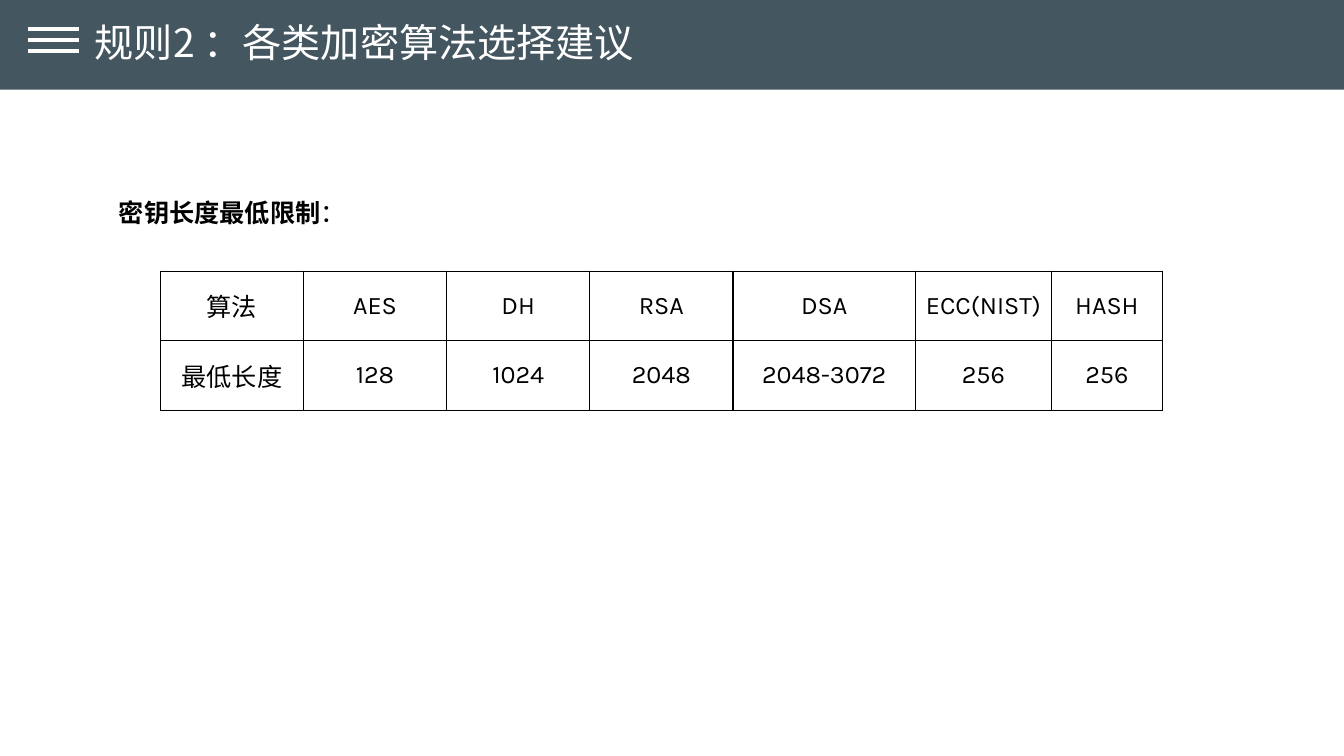
from lxml import etree
from pptx import Presentation
from pptx import util as u
from pptx.dml.color import RGBColor
from pptx.enum import shapes, text
from pptx.oxml import ns

SLATE = RGBColor(0x44, 0x56, 0x60)
WHITE = RGBColor(0xFF, 0xFF, 0xFF)
BLACK = RGBColor(0x00, 0x00, 0x00)
LATIN_FONT = "Karla"
CJK_FONT = "Noto Sans CJK SC"

KEY_LENGTHS = [
    ("算法", "AES", "DH", "RSA", "DSA", "ECC(NIST)", "HASH"),
    ("最低长度", "128", "1024", "2048", "2048-3072", "256", "256"),
]
COLUMN_WIDTHS = [102.3] * 4 + [130.3, 97.2, 79.2]
ROW_HEIGHT = 49.7


class SlideBuilder:
    def __init__(self, slide):
        self.slide = slide

    def style(self, run, size, color, font=LATIN_FONT, bold=False):
        run.font.size = u.Pt(size)
        run.font.bold = bold
        run.font.color.rgb = color
        run.font.name = font
        east_asian = etree.SubElement(run.font._element, ns.qn("a:ea"))
        east_asian.set("typeface", CJK_FONT)

    def band(self, left, top, width, height, color):
        band = self.slide.shapes.add_shape(
            shapes.MSO_SHAPE.RECTANGLE, u.Pt(left), u.Pt(top), u.Pt(width), u.Pt(height))
        band.shadow.inherit = False
        band.fill.solid()
        band.fill.fore_color.rgb = color
        band.line.fill.background()

    def rule(self, left, right, y, color, weight):
        rule = self.slide.shapes.add_connector(
            shapes.MSO_CONNECTOR.STRAIGHT, u.Pt(left), u.Pt(y), u.Pt(right), u.Pt(y))
        rule.line.color.rgb = color
        rule.line.width = u.Pt(weight)
        etree.SubElement(rule._element.spPr, ns.qn("a:effectLst"))

    def title(self, wording, left, top, width, height):
        title = self.slide.shapes.title
        title.left, title.top = u.Pt(left), u.Pt(top)
        title.width, title.height = u.Pt(width), u.Pt(height)
        frame = title.text_frame
        frame.text = wording
        frame.vertical_anchor = text.MSO_ANCHOR.TOP
        frame.auto_size = text.MSO_AUTO_SIZE.NONE
        frame.paragraphs[0].alignment = text.PP_ALIGN.LEFT
        self.style(frame.paragraphs[0].runs[0], 28, WHITE, CJK_FONT)
        self.slide.shapes._spTree.append(title._element)

    def label(self, wording, ending, left, top, width, height):
        label = self.slide.shapes.add_textbox(
            u.Pt(left), u.Pt(top), u.Pt(width), u.Pt(height))
        label.text_frame.word_wrap = True
        paragraph = label.text_frame.paragraphs[0]
        for part, bold in ((wording, True), (ending, False)):
            run = paragraph.add_run()
            run.text = part
            self.style(run, 18, BLACK, bold=bold)

    def cell_borders(self, cell, color, weight):
        properties = cell._tc.get_or_add_tcPr()
        for side in ("lnL", "lnR", "lnT", "lnB"):
            border = etree.SubElement(properties, ns.qn(f"a:{side}"), w=str(u.Pt(weight)))
            fill = etree.SubElement(border, ns.qn("a:solidFill"))
            etree.SubElement(fill, ns.qn("a:srgbClr"), val=str(color))

    def table(self, rows, widths, row_height, left, top):
        table = self.slide.shapes.add_table(
            len(rows), len(widths), u.Pt(left), u.Pt(top),
            u.Pt(sum(widths)), u.Pt(row_height * len(rows))).table
        table.first_row = table.horz_banding = False
        for column, width in zip(table.columns, widths):
            column.width = u.Pt(width)
        for row, values in zip(table.rows, rows):
            row.height = u.Pt(row_height)
            for cell, value in zip(row.cells, values):
                self.cell_borders(cell, BLACK, 1)
                cell.fill.background()
                cell.vertical_anchor = text.MSO_ANCHOR.MIDDLE
                cell.text_frame.text = value
                paragraph = cell.text_frame.paragraphs[0]
                paragraph.alignment = text.PP_ALIGN.CENTER
                self.style(paragraph.runs[0], 18, BLACK)


def main():
    deck = Presentation()
    deck.slide_width, deck.slide_height = u.Pt(960), u.Pt(540)
    page = SlideBuilder(deck.slides.add_slide(deck.slide_layouts.get_by_name("Title Only")))
    page.band(0, -0.7, 960.5, 64.8, SLATE)
    for bar in range(3):
        page.rule(20, 56.4, 20.7 + 8 * bar, WHITE, 3)
    page.title("规则2 ：各类加密算法选择建议", 60.5, 9.4, 448.6, 43.2)
    page.label("密钥长度最低限制", "：", 77.8, 137.5, 200.2, 30.2)
    page.table(KEY_LENGTHS, COLUMN_WIDTHS, ROW_HEIGHT, 114.5, 193.7)
    deck.save("out.pptx")


if __name__ == "__main__":
    main()
